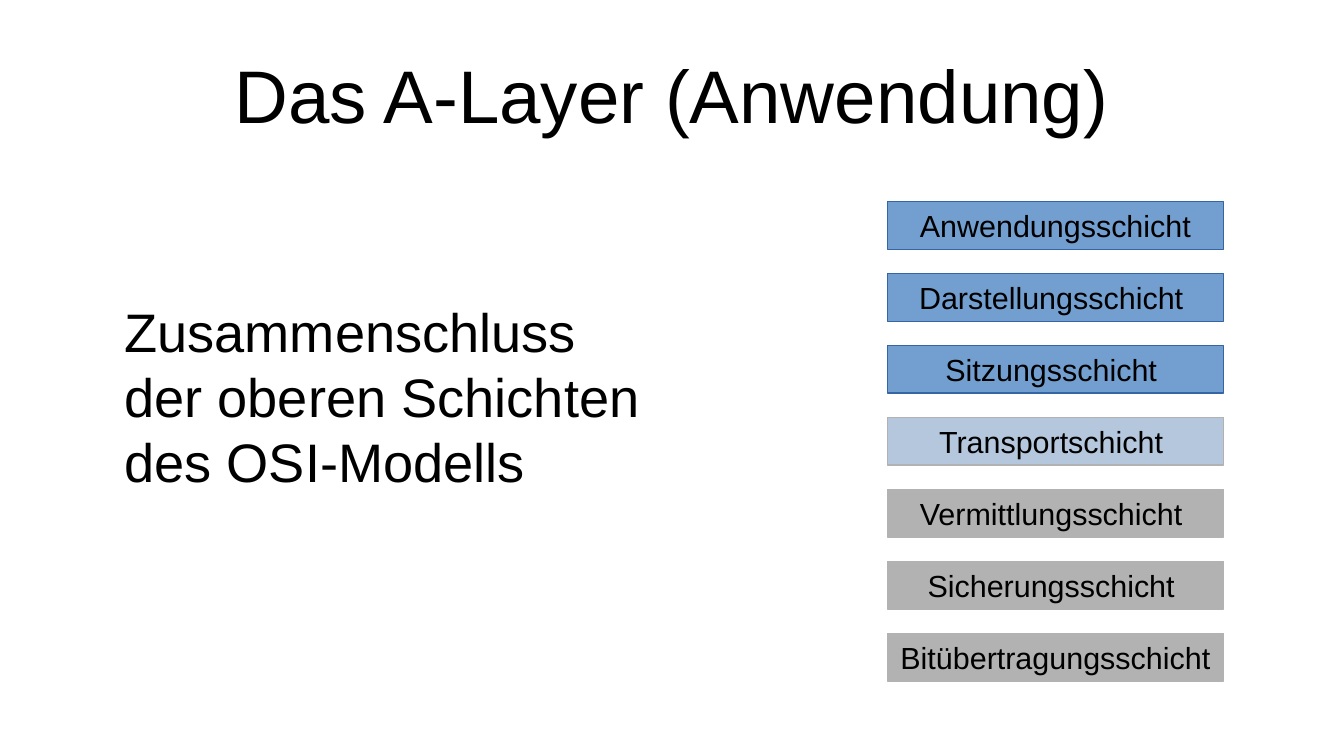
"""Build the slide on the A layer and the seven OSI layers."""
from pptx import Presentation
from pptx import util as u
from pptx.dml.color import RGBColor
from pptx.enum import shapes, text

COLORS = {
    "text": "000000",
    "upper": "729FCF",
    "upper_line": "3465A4",
    "transport": "B4C7DC",
    "lower": "B2B2B2",
}
LAYERS = [
    ("Anwendungsschicht", "upper", "upper_line"),
    ("Darstellungsschicht ", "upper", "upper_line"),
    ("Sitzungsschicht ", "upper", "upper_line"),
    ("Transportschicht ", "transport", "lower"),
    ("Vermittlungsschicht ", "lower", "lower"),
    ("Sicherungsschicht ", "lower", "lower"),
    ("Bitübertragungsschicht ", "lower", "lower"),
]
LAYER_TOP, LAYER_PITCH = 118.9, 42.5


def rgb(name):
    return RGBColor.from_string(COLORS[name])


def write(sp, content, size, align, inset_x=0, inset_y=0):
    tf = sp.text_frame
    tf.text = content
    tf.word_wrap = True
    tf.vertical_anchor = text.MSO_ANCHOR.MIDDLE
    tf.margin_left = tf.margin_right = u.Pt(inset_x)
    tf.margin_top = tf.margin_bottom = u.Pt(inset_y)
    p = tf.paragraphs[0]
    p.alignment = align
    font = p.runs[0].font
    font.name = "Arial"
    font.size = u.Pt(size)
    font.color.rgb = rgb("text")


prs = Presentation()
prs.slide_width, prs.slide_height = u.Pt(793.7), u.Pt(446.4)
s = prs.slides.add_slide(prs.slide_layouts[6])

title = s.shapes.add_textbox(u.Pt(39.6), u.Pt(18), u.Pt(714.3), u.Pt(74.9))
write(title, "Das A-Layer (Anwendung)", 44, text.PP_ALIGN.CENTER)

body = s.shapes.add_textbox(u.Pt(73.5), u.Pt(104.4), u.Pt(314.6), u.Pt(259.2))
write(body, "Zusammenschluss der oberen Schichten des OSI-Modells", 32,
      text.PP_ALIGN.LEFT)

for i, (label, fill, line) in enumerate(LAYERS):
    sp = s.shapes.add_shape(shapes.MSO_SHAPE.RECTANGLE, u.Pt(524),
                            u.Pt(LAYER_TOP + i * LAYER_PITCH),
                            u.Pt(198.5), u.Pt(28.3))
    sp.shadow.inherit = False
    sp.fill.solid()
    sp.fill.fore_color.rgb = rgb(fill)
    sp.line.color.rgb = rgb(line)
    sp.line.width = u.Pt(0)
    write(sp, label, 18, text.PP_ALIGN.CENTER, 7.1, 3.5)

prs.save("out.pptx")
